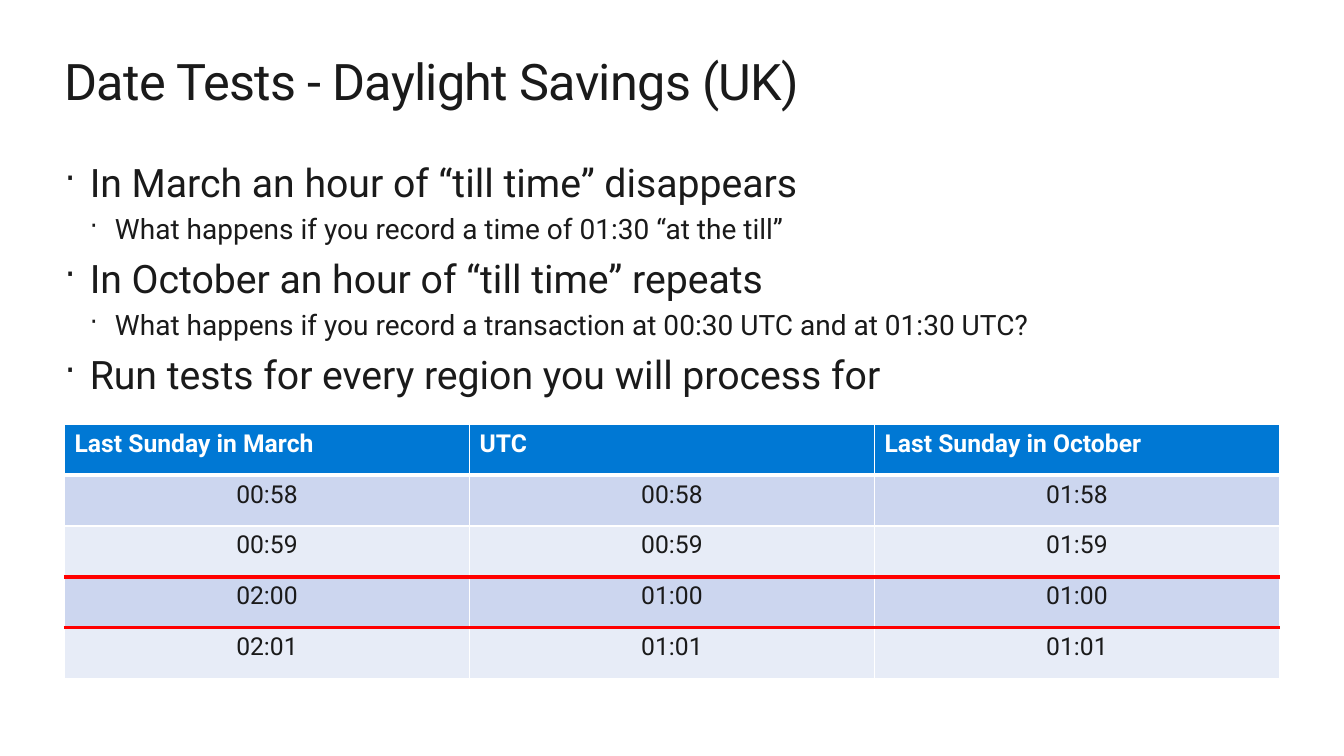
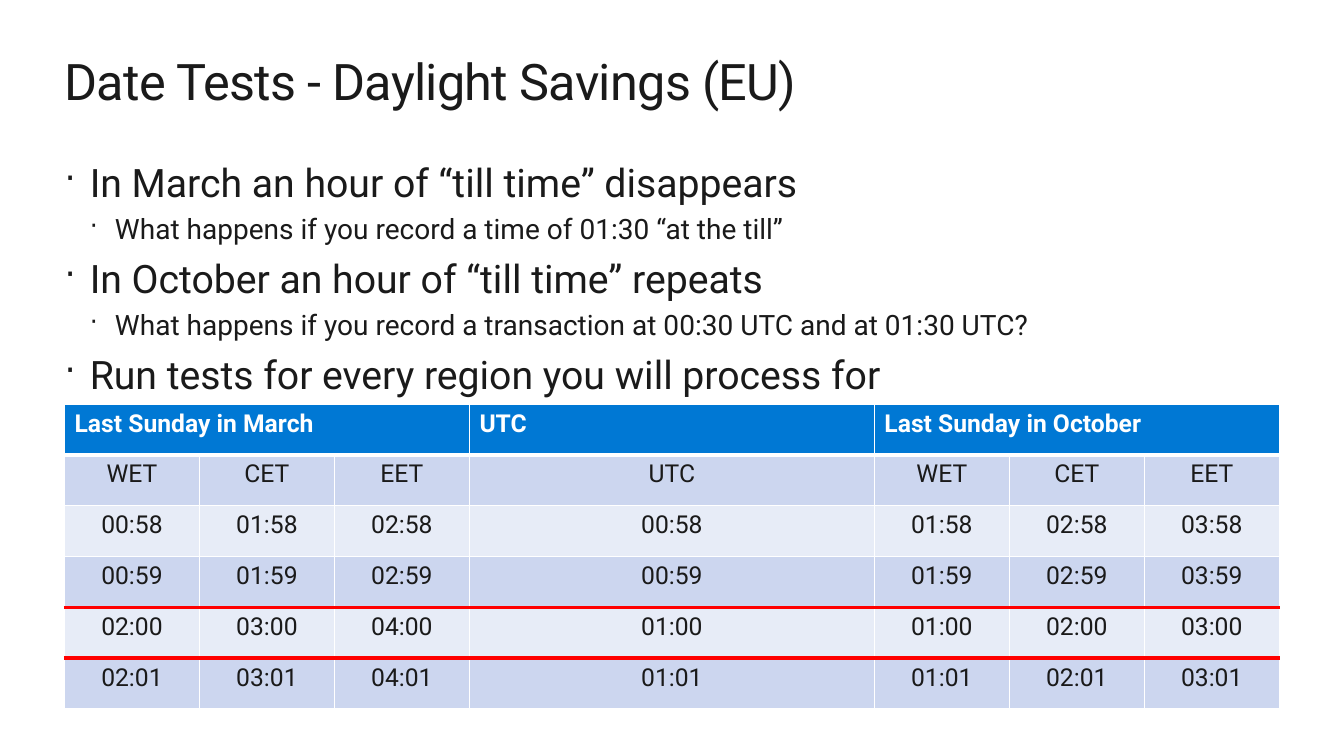
from lxml.etree import SubElement
from pptx import Presentation
from pptx.dml.color import RGBColor
from pptx.enum.text import MSO_ANCHOR, MSO_AUTO_SIZE, PP_ALIGN
from pptx.oxml.ns import qn
from pptx.util import Inches, Pt

# Shared style
FONT = "Roboto"
INK, WHITE, RED = "1A1A1A", "FFFFFF", "FF0000"
HEADER_BLUE = "0078D4"
BANDS = ("CCD6EF", "E7ECF7")
TITLE_SIZE, TABLE_SIZE = 36, 17.6
BULLET_SIZES = (28, 20)
BULLET_INDENT = 0.25

# Shared grid: nine columns between the side margins
LEFT, WIDTH = 0.64, 12.05
GRID_COLUMNS = 9
ROW_HEIGHT = 2.52 / 5

# Content
BULLETS = [
    (0, "In March an hour of “till time” disappears"),
    (1, "What happens if you record a time of 01:30 “at the till”"),
    (0, "In October an hour of “till time” repeats"),
    (1, "What happens if you record a transaction at 00:30 UTC and at 01:30 UTC?"),
    (0, "Run tests for every region you will process for"),
]
HEADINGS = ("Last Sunday in March", "UTC", "Last Sunday in October")
UK_TIMES = [
    ("00:58", "00:58", "01:58"),
    ("00:59", "00:59", "01:59"),
    ("02:00", "01:00", "01:00"),
    ("02:01", "01:01", "01:01"),
]
EU_TIMES = [
    ("WET", "CET", "EET", "UTC", "WET", "CET", "EET"),
    ("00:58", "01:58", "02:58", "00:58", "01:58", "02:58", "03:58"),
    ("00:59", "01:59", "02:59", "00:59", "01:59", "02:59", "03:59"),
    ("02:00", "03:00", "04:00", "01:00", "01:00", "02:00", "03:00"),
    ("02:01", "03:01", "04:01", "01:01", "01:01", "02:01", "03:01"),
]


def color(hex_value):
    return RGBColor.from_string(hex_value)


def style(paragraph, size, hex_value=INK, bold=False):
    font = paragraph.font
    font.name, font.size, font.bold = FONT, Pt(size), bold
    font.color.rgb = color(hex_value)


def clear_margins(frame):
    frame.margin_left = frame.margin_right = 0
    frame.margin_top = frame.margin_bottom = 0
    frame.vertical_anchor = MSO_ANCHOR.TOP
    frame.word_wrap = True
    frame.auto_size = MSO_AUTO_SIZE.NONE


def place(shape, top, height):
    shape.left, shape.width = Inches(LEFT), Inches(WIDTH)
    shape.top, shape.height = Inches(top), Inches(height)


def add_title(slide, text):
    title = slide.shapes.title
    place(title, 0.5, 0.61)
    clear_margins(title.text_frame)
    title.text_frame.text = text
    heading = title.text_frame.paragraphs[0]
    heading.alignment = PP_ALIGN.LEFT
    style(heading, TITLE_SIZE)
    # Tighten the letter spacing by half a point
    heading._p.get_or_add_pPr().find(qn("a:defRPr")).set("spc", "-50")


def add_bullet_mark(paragraph, level):
    properties = paragraph._p.get_or_add_pPr()
    properties.set("marL", str(Inches(BULLET_INDENT * (level + 1))))
    properties.set("indent", str(-Inches(BULLET_INDENT)))
    SubElement(properties, qn("a:buSzPct"), val="90000")
    SubElement(properties, qn("a:buChar"), char="·")


def add_bullets(slide, bullets):
    body = slide.shapes.add_textbox(0, 0, 0, 0)
    place(body, 1.57, 2.41)
    frame = body.text_frame
    clear_margins(frame)
    for index, (level, text) in enumerate(bullets):
        bullet = frame.add_paragraph() if index else frame.paragraphs[0]
        bullet.text, bullet.level = text, level
        size = BULLET_SIZES[level]
        bullet.space_before = Pt(round(size * 0.23, 1) if index else 0)
        add_bullet_mark(bullet, level)
        style(bullet, size)


def set_borders(cell, top, bottom):
    properties = cell._tc.get_or_add_tcPr()
    thin = (WHITE, 1)
    for edge, (hex_value, width) in zip("LRTB", (thin, thin, top, bottom)):
        line = SubElement(properties, qn(f"a:ln{edge}"), w=str(Pt(width)))
        fill = SubElement(line, qn("a:solidFill"))
        SubElement(fill, qn("a:srgbClr"), val=hex_value)


def row_rule(row, changeover):
    """Line under a row: below the header, around the changeover, or plain."""
    if row == 0:
        return WHITE, 3
    return (RED, 3) if row in (changeover - 1, changeover) else (WHITE, 1)


def fill_cell(cell, text, row, changeover):
    set_borders(cell, row_rule(row - 1, changeover) if row else (WHITE, 1),
                row_rule(row, changeover))
    cell.fill.solid()
    cell.fill.fore_color.rgb = color(BANDS[(row - 1) % 2] if row else HEADER_BLUE)
    cell.text = text
    label = cell.text_frame.paragraphs[0]
    label.alignment = PP_ALIGN.CENTER if row else PP_ALIGN.LEFT
    style(label, TABLE_SIZE, INK if row else WHITE, bold=not row)


def add_clock_table(slide, top, spans, times):
    """spans gives the number of table columns under each heading."""
    row_count, column_count = len(times) + 1, sum(spans)
    table = slide.shapes.add_table(
        row_count, column_count, Inches(LEFT), Inches(top),
        Inches(WIDTH), Inches(ROW_HEIGHT * row_count)).table

    # Each heading takes a third of the grid, shared by its columns
    header = []
    for heading, span in zip(HEADINGS, spans):
        start = len(header)
        header += [heading] + [""] * (span - 1)
        for column in range(start, start + span):
            share = GRID_COLUMNS // len(HEADINGS) / span
            table.columns[column].width = Inches(WIDTH * share / GRID_COLUMNS)
        if span > 1:
            table.cell(0, start).merge(table.cell(0, start + span - 1))

    # The clocks change in the last row but one
    changeover = row_count - 2
    for row, texts in enumerate([header] + times):
        table.rows[row].height = Inches(ROW_HEIGHT)
        for column, text in enumerate(texts):
            fill_cell(table.cell(row, column), text, row, changeover)


def add_region_slide(deck, region, table_top, spans, times):
    slide = deck.slides.add_slide(deck.slide_layouts[5])
    add_title(slide, f"Date Tests - Daylight Savings ({region})")
    add_bullets(slide, BULLETS)
    add_clock_table(slide, table_top, spans, times)


def main():
    deck = Presentation()
    deck.slide_width, deck.slide_height = Inches(13.33), Inches(7.5)
    add_region_slide(deck, "UK", 4.21, (1, 1, 1), UK_TIMES)
    add_region_slide(deck, "EU", 4.01, (3, 1, 3), EU_TIMES)
    deck.save("out.pptx")


main()
